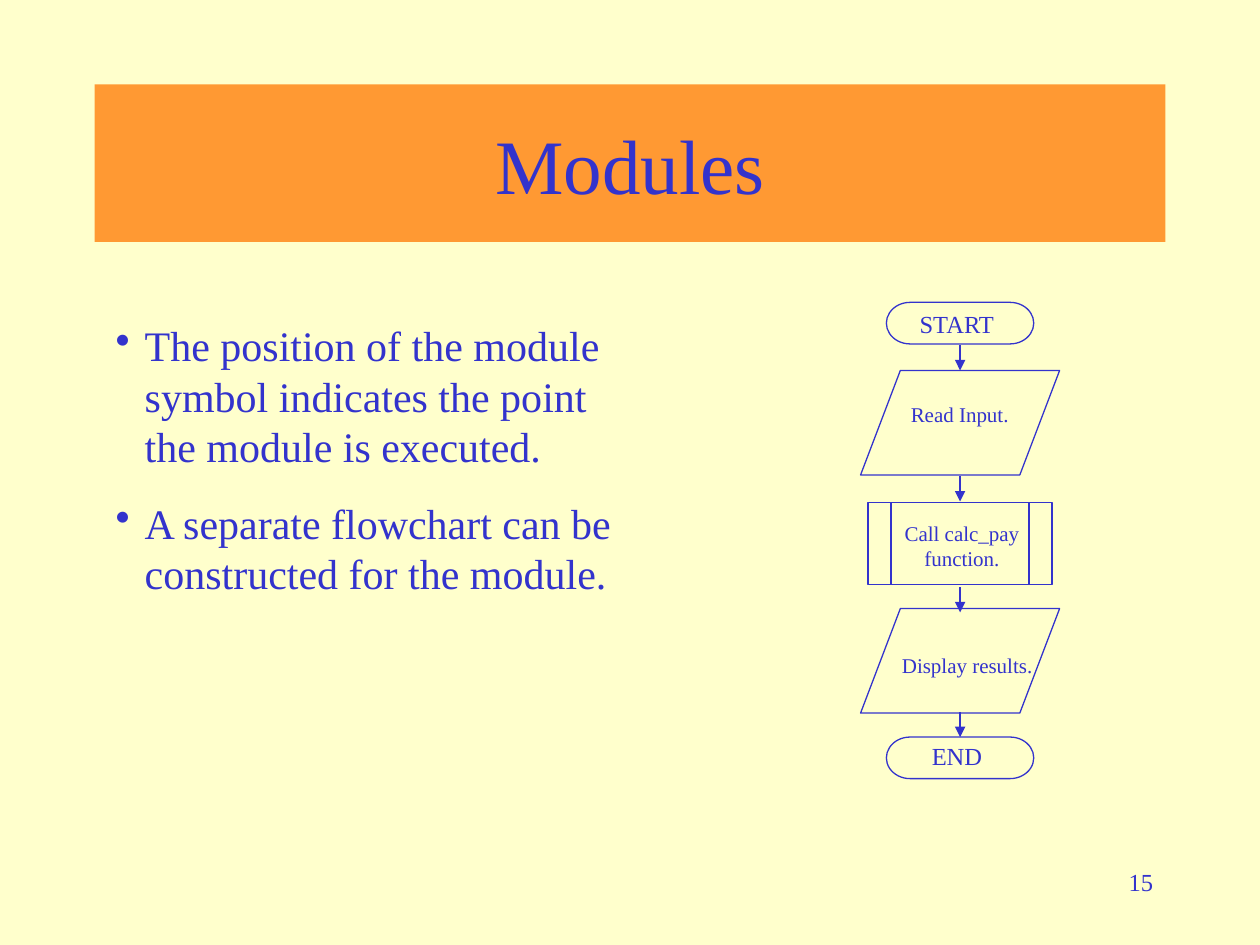
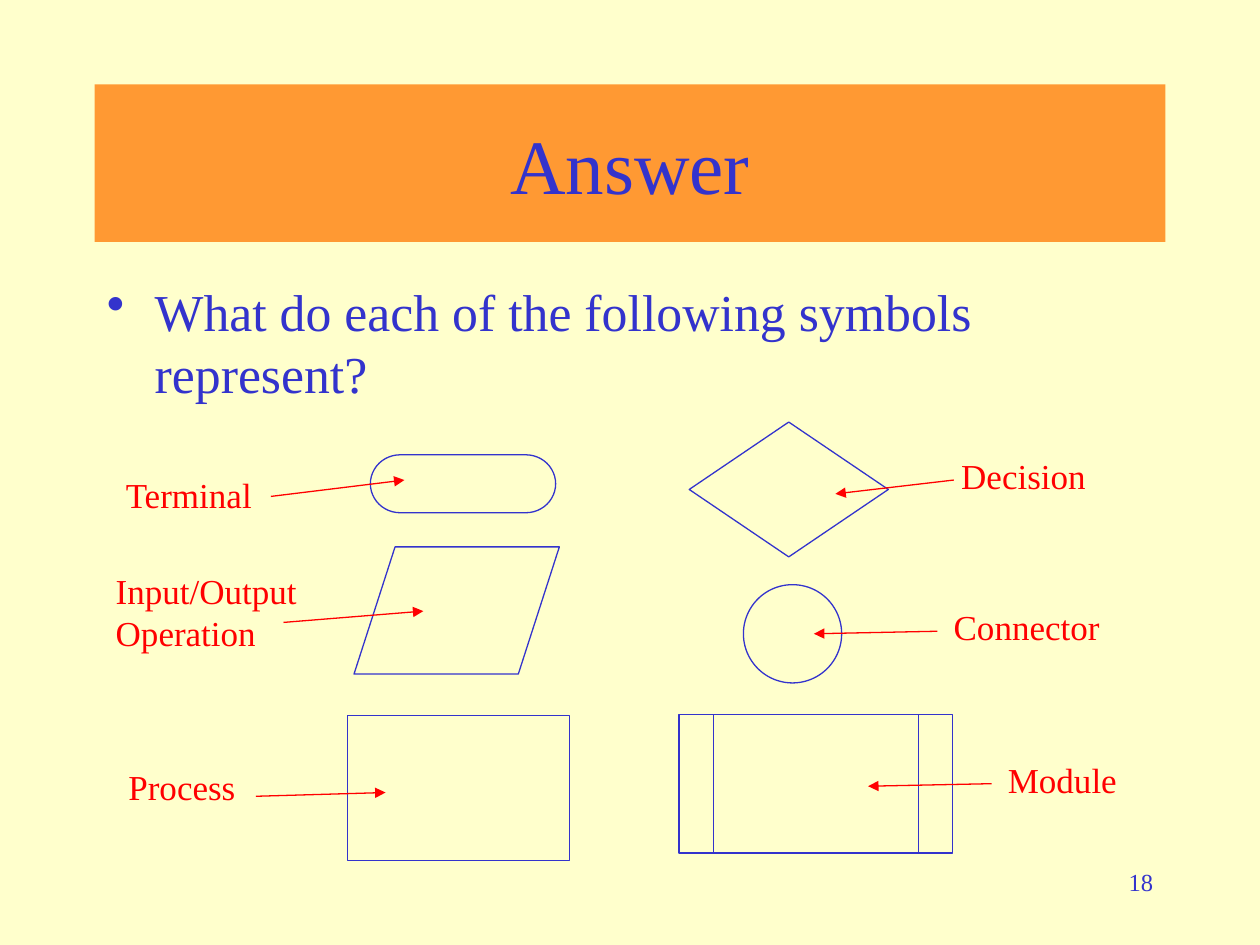
from dataclasses import dataclass

from lxml.etree import SubElement
from pptx import Presentation
from pptx.dml.color import RGBColor
from pptx.enum.shapes import MSO_CONNECTOR, MSO_SHAPE as Symbol
from pptx.enum.text import MSO_ANCHOR, MSO_AUTO_SIZE, PP_ALIGN as Align
from pptx.oxml.ns import qn
from pptx.util import Inches, Pt


@dataclass(frozen=True)
class Theme:
    font: str = "Times New Roman"
    paper: str = "FFFFCC"
    band: str = "FF9933"
    ink: str = "3333CC"
    answer: str = "FF0000"
    title_size: float = 44
    question_size: float = 29.6
    bullet_size: float = 24
    answer_size: float = 20
    terminal_size: float = 14
    step_size: float = 12
    number_size: float = 14
    line_width: float = 0.75
    leading: float = 1.2


class Deck:
    """Holds the style and the current slide."""

    def __init__(self, theme):
        self.theme = theme
        self.presentation = Presentation()
        self.presentation.slide_width = Inches(10)
        self.presentation.slide_height = Inches(7.5)
        fill = self.presentation.slide_master.background.fill
        fill.solid()
        fill.fore_color.rgb = RGBColor.from_string(theme.paper)
        self.slide = None

    def add_slide(self, title, number):
        """Start a slide with its title band and page number."""
        theme = self.theme
        layout = self.presentation.slide_layouts.get_by_name("Title Only")
        self.slide = self.presentation.slides.add_slide(layout)
        band = self.slide.shapes.title
        band.left, band.top = Inches(0.75), Inches(0.67)
        band.width, band.height = Inches(8.5), Inches(1.25)
        band.fill.solid()
        band.fill.fore_color.rgb = RGBColor.from_string(theme.band)
        frame = band.text_frame
        frame.text = title
        frame.auto_size = MSO_AUTO_SIZE.NONE
        frame.vertical_anchor = MSO_ANCHOR.MIDDLE
        self.format(frame.paragraphs[0], theme.title_size, theme.ink, Align.CENTER)
        self.text((7.17, 6.83, 2.08, 0.5), str(number), theme.number_size, align=Align.RIGHT)

    def format(self, paragraph, size, color, align=Align.LEFT):
        paragraph.alignment = align
        paragraph.line_spacing = Pt(size * self.theme.leading)
        for run in paragraph.runs:
            run.font.name = self.theme.font
            run.font.size = Pt(size)
            run.font.color.rgb = RGBColor.from_string(color)

    def text(self, box, text, size, color=None, align=Align.LEFT):
        """Add a text box; each line of text becomes a paragraph."""
        frame = self.slide.shapes.add_textbox(*map(Inches, box)).text_frame
        frame.word_wrap = True
        frame.text = text
        for paragraph in frame.paragraphs:
            self.format(paragraph, size, color or self.theme.ink, align)
        return frame

    def bullets(self, box, items, size, indent, gap=0):
        frame = self.text(box, "\n".join(items), size)
        for index, paragraph in enumerate(frame.paragraphs):
            paragraph.space_before = Pt(gap if index else 0)
            properties = paragraph._p.get_or_add_pPr()
            properties.set("marL", str(Inches(indent)))
            properties.set("indent", str(-Inches(indent)))
            SubElement(properties, qn("a:buChar")).set("char", "•")

    def symbol(self, kind, box):
        shape = self.slide.shapes.add_shape(kind, *map(Inches, box))
        shape.shadow.inherit = False
        shape.fill.background()
        shape.line.color.rgb = RGBColor.from_string(self.theme.ink)
        shape.line.width = Pt(self.theme.line_width)

    def arrow(self, start, end, color=None):
        connector = self.slide.shapes.add_connector(
            MSO_CONNECTOR.STRAIGHT, *map(Inches, (*start, *end)))
        connector.line.color.rgb = RGBColor.from_string(color or self.theme.ink)
        connector.line.width = Pt(self.theme.line_width)
        SubElement(connector.line._get_or_add_ln(), qn("a:tailEnd")).set("type", "triangle")
        SubElement(connector._element.spPr, qn("a:effectLst"))


def build_modules(deck):
    theme = deck.theme
    deck.add_slide("Modules", 15)
    deck.bullets(
        (0.82, 2.49, 4.39, 2.31),
        ["The position of the module symbol indicates the point the module is executed.",
         "A separate flowchart can be constructed for the module."],
        theme.bullet_size, indent=0.23, gap=15)

    # Flowchart, centred on one axis
    axis = 7.62
    for top in (2.74, 3.78, 4.66, 5.65):
        deck.arrow((axis, top), (axis, top + 0.2))

    terminal, data = (1.17, 0.33), (1.58, 0.83)
    steps = [  # symbol, top, size, label, label box, type size, alignment
        (Symbol.FLOWCHART_TERMINATOR, 2.4, terminal,
         "START", (7.2, 2.4, 0.85, 0.34), theme.terminal_size, Align.LEFT),
        (Symbol.FLOWCHART_DATA, 2.94, data,
         "Read Input.", (7.13, 3.14, 1.12, 0.3), theme.step_size, Align.LEFT),
        (Symbol.FLOWCHART_PREDEFINED_PROCESS, 3.99, (1.46, 0.65),
         "Call calc_pay function.", (7.07, 4.08, 1.13, 0.5), theme.step_size, Align.CENTER),
        (Symbol.FLOWCHART_DATA, 4.83, data,
         "Display results.", (7.06, 5.13, 1.26, 0.3), theme.step_size, Align.LEFT),
        (Symbol.FLOWCHART_TERMINATOR, 5.85, terminal,
         "END", (7.17, 5.83, 0.85, 0.34), theme.terminal_size, Align.CENTER),
    ]
    for kind, top, (width, height), label, label_box, size, align in steps:
        deck.symbol(kind, (axis - width / 2, top, width, height))
        deck.text(label_box, label, size, align=align)


def build_answer(deck):
    theme = deck.theme
    deck.add_slide("Answer", 18)
    deck.bullets((0.75, 2.17, 8.5, 1.17),
                 ["What do each of the following symbols represent?"],
                 theme.question_size, indent=0.38)

    # Each symbol with its name and an arrow from the name
    answers = [  # symbol, box, name, name box, arrow start, arrow end
        (Symbol.FLOWCHART_TERMINATOR, (2.94, 3.61, 1.47, 0.46),
         "Terminal", (0.9, 3.71, 1.42, 0.44), (2.15, 3.94), (3.21, 3.81)),
        (Symbol.FLOWCHART_DATA, (2.81, 4.34, 1.63, 1.01),
         "Input/Output Operation", (0.82, 4.47, 1.86, 0.77), (2.25, 4.94), (3.36, 4.85)),
        (Symbol.RECTANGLE, (2.76, 5.68, 1.76, 1.15),
         "Process", (0.92, 6.03, 1.42, 0.44), (2.03, 6.32), (3.06, 6.29)),
        (Symbol.FLOWCHART_DECISION, (5.47, 3.35, 1.58, 1.07),
         "Decision", (7.53, 3.56, 1.42, 0.44), (7.57, 3.81), (6.63, 3.92)),
        (Symbol.FLOWCHART_CONNECTOR, (5.9, 4.64, 0.78, 0.78),
         "Connector", (7.47, 4.76, 1.42, 0.44), (7.44, 5.01), (6.46, 5.03)),
        (Symbol.FLOWCHART_PREDEFINED_PROCESS, (5.39, 5.67, 2.17, 1.1),
         "Module", (7.9, 5.97, 1.42, 0.44), (7.87, 6.22), (6.89, 6.24)),
    ]
    for kind, box, name, name_box, start, end in answers:
        deck.symbol(kind, box)
        deck.text(name_box, name, theme.answer_size, theme.answer)
        deck.arrow(start, end, theme.answer)


def main():
    deck = Deck(Theme())
    build_modules(deck)
    build_answer(deck)
    deck.presentation.save("out.pptx")


if __name__ == "__main__":
    main()
